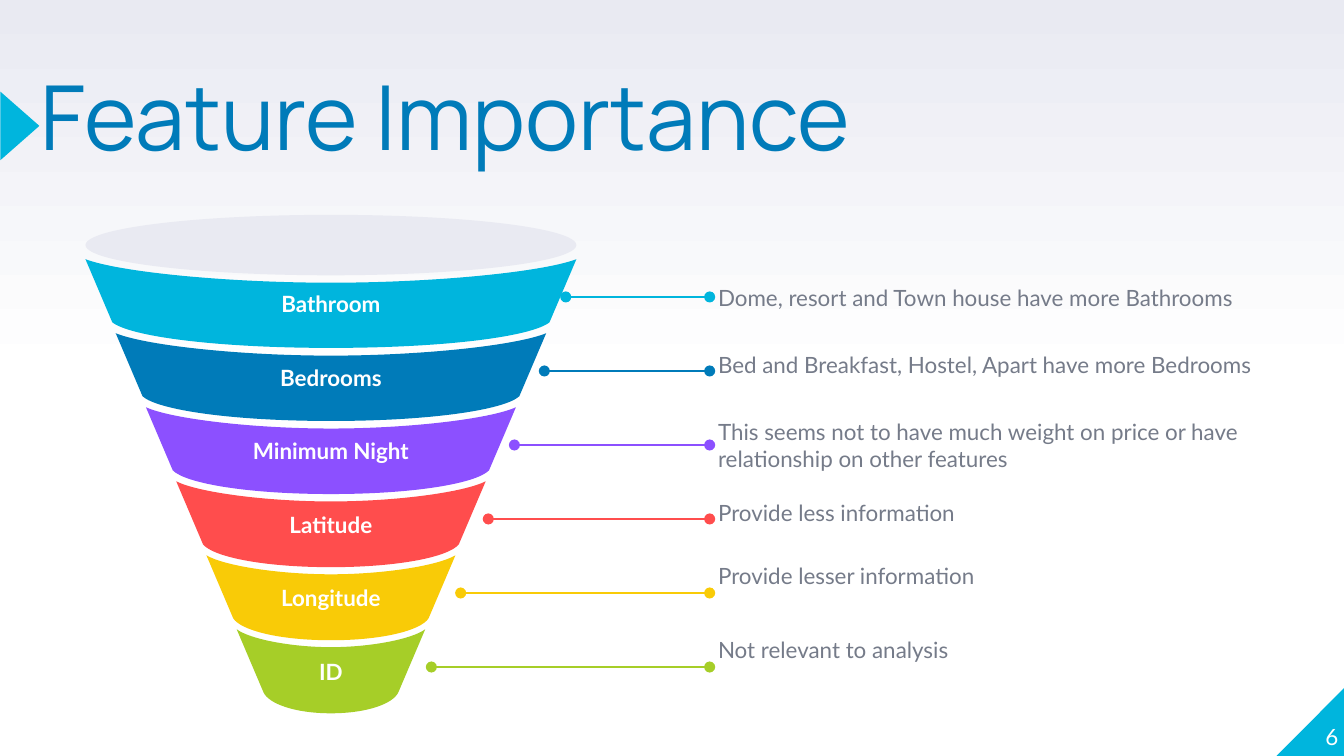
import pptx
import pptx.util
import pptx.dml.color
import pptx.enum.shapes
import pptx.enum.text
import pptx.oxml.ns
import lxml.etree

Pt = pptx.util.Pt
RGB = pptx.dml.color.RGBColor
SHAPE = pptx.enum.shapes.MSO_SHAPE
ALIGN = pptx.enum.text.PP_ALIGN
ANCHOR = pptx.enum.text.MSO_ANCHOR
qn = pptx.oxml.ns.qn

WHITE = RGB(0xFF, 0xFF, 0xFF)
LAVENDER = RGB(0xE9, 0xEA, 0xF2)
GREY = RGB(0x75, 0x7B, 0x89)
CYAN = RGB(0x00, 0xB5, 0xDD)
BLUE = RGB(0x00, 0x7B, 0xB9)
PURPLE = RGB(0x8C, 0x50, 0xFF)
RED = RGB(0xFF, 0x4D, 0x4D)
YELLOW = RGB(0xF9, 0xCB, 0x07)
GREEN = RGB(0xA6, 0xCE, 0x28)

TITLE_FONT = {"name": "Manrope", "size": Pt(48)}
BODY_FONT = {"name": "Lato", "size": Pt(12)}
SLICE_FONT = {**BODY_FONT, "bold": True}

# Name, colour, line start x, note box (top, height), note
FEATURES = [
    ("Bathroom", CYAN, 303.1, (141.8, 35.3),
     "Dome, resort and Town house have more Bathrooms"),
    ("Bedrooms", BLUE, 291.6, (177.8, 35.3),
     "Bed and Breakfast, Hostel, Apart have more Bedrooms"),
    ("Minimum Night", PURPLE, 275.6, (224.6, 28.1),
     "This seems not to have much weight on price or have "
     "relationship on other features"),
    ("Latitude", RED, 261.6, (257, 35.3), "Provide less information"),
    ("Longitude", YELLOW, 246.8, (285.1, 46.8), "Provide lesser information"),
    ("ID", GREEN, 231.1, (324.7, 46.8), "Not relevant to analysis"),
]
PITCH = 39.65


def write(frame, text, font, colour, align=ALIGN.LEFT, anchor=ANCHOR.TOP,
          margins=(0, 0), spacing=None):
    side, edge = margins
    settings = {"word_wrap": True, "vertical_anchor": anchor,
                "margin_left": Pt(side), "margin_right": Pt(side),
                "margin_top": Pt(edge), "margin_bottom": Pt(edge)}
    for name, value in settings.items():
        setattr(frame, name, value)
    para = frame.paragraphs[0]
    para.alignment = align
    para.line_spacing = spacing
    span = para.add_run()
    span.text = text
    for name, value in font.items():
        setattr(span.font, name, value)
    span.font.color.rgb = colour


def add_text(page, box, *args, **options):
    holder = page.shapes.add_textbox(*map(Pt, box))
    write(holder.text_frame, *args, **options)


def paint(shape, colour):
    shape.shadow.inherit = False
    shape.fill.solid()
    shape.fill.fore_color.rgb = colour
    shape.line.fill.background()


def add_solid(page, kind, box, colour):
    shape = page.shapes.add_shape(kind, *map(Pt, box))
    paint(shape, colour)
    return shape


def sagging_edge(middle, half, top, dip, inner, outer):
    """Ends, handles and middle, left to right, of an edge that hangs by dip.

    inner and outer place the handles as shares of half.
    """
    left = [(middle - half, top), (middle - half * outer, top + dip * 0.55),
            (middle - half * inner, top + dip), (middle, top + dip)]
    return left + [(2 * middle - x, y) for x, y in left[-2::-1]]


def bend(shape, starts):
    """Join three straight segments into one curve at each index in starts."""
    segments = list(shape._element.iter(qn("a:lnTo")))
    for start in starts:
        curve, *rest = segments[start:start + 3]
        curve.tag = qn("a:cubicBezTo")
        for segment in rest:
            curve.append(segment[0])
            segment.getparent().remove(segment)


def add_slice(page, box, dip, text, colour):
    left, top, width, height = box
    middle, half = left + width / 2, width / 2
    shoulder = 33.8
    upper = sagging_edge(middle, half, top, dip, 0.42, 0.86)
    lower = sagging_edge(middle, half - 14.4, top + shoulder,
                         height - shoulder, 0.53, 0.92)
    start, *others = [(Pt(x), Pt(y)) for x, y in upper + lower[::-1]]
    builder = page.shapes.build_freeform(*start, scale=1.0)
    builder.add_line_segments(others, close=True)
    shape = builder.convert_to_shape()
    bend(shape, (0, 3, 7, 10))
    paint(shape, colour)
    write(shape.text_frame, text, SLICE_FONT, WHITE, ALIGN.CENTER,
          ANCHOR.MIDDLE, margins=(5, 2.9))


def add_funnel(page, box):
    left, top, width, rim_height = box
    for index, (name, colour, *_) in enumerate(FEATURES):
        inset = 16.2 * index
        add_slice(page, (left + inset, top + 23.8 + PITCH * index,
                         width - 2 * inset, 47.5 - 0.5 * index),
                  12.6 - 0.6 * index, name, colour)
    add_solid(page, SHAPE.OVAL, box, LAVENDER)


def add_pointer(page, start, end, y, colour):
    line = page.shapes.add_connector(pptx.enum.shapes.MSO_CONNECTOR.STRAIGHT,
                                     Pt(start), Pt(y), Pt(end), Pt(y))
    line.line.color.rgb = colour
    line.line.width = Pt(0.75)
    outline = line.line._get_or_add_ln()
    for tag in ("a:headEnd", "a:tailEnd"):
        lxml.etree.SubElement(outline, qn(tag), type="oval")
    lxml.etree.SubElement(line._element.spPr, qn("a:effectLst"))


def add_notes(page, box):
    """Place a coloured pointer and a line of text for each feature."""
    left, top, width = box
    for index, (_, colour, start, (note_top, height), note) in enumerate(FEATURES):
        add_pointer(page, start, left - 4.5, top + PITCH * index, colour)
        add_text(page, (left, note_top, width, height), note, BODY_FONT, GREY,
                 anchor=ANCHOR.MIDDLE)


def add_background(page):
    fill = page.background.fill
    fill.gradient()
    fill.gradient_angle = 90
    for stop, position, colour in zip(fill.gradient_stops, (0.5, 1), (WHITE, LAVENDER)):
        stop.position = position
        stop.color.rgb = colour


def add_header(page, box):
    left, top, width, height = box
    marker = add_solid(page, SHAPE.ISOSCELES_TRIANGLE,
                       (left - 29.3, top + 13.1, 36.7, 20.9), CYAN)
    marker.rotation = 90
    add_text(page, box, "Feature Importance", TITLE_FONT, BLUE, spacing=0.8)


def add_page_number(page, box):
    left, top, width, height = box
    corner = add_solid(page, SHAPE.RIGHT_TRIANGLE, box, CYAN)
    corner._element.spPr.xfrm.set("flipH", "1")
    add_text(page, (left - 2.9, top - 2.9, width - 0.7, height), "6", BODY_FONT,
             WHITE, ALIGN.RIGHT, ANCHOR.BOTTOM)


def main():
    deck = pptx.Presentation()
    deck.slide_width, deck.slide_height = Pt(720), Pt(405)
    page = deck.slides.add_slide(deck.slide_layouts[6])
    add_background(page)
    add_page_number(page, (684, 368.2, 36.5, 36.7))
    add_header(page, (21.6, 43.9, 500.4, 61.9))
    add_funnel(page, (45.8, 115.1, 263, 32.4))
    add_notes(page, (384.7, 159.1, 305.3))
    deck.save("out.pptx")


if __name__ == "__main__":
    main()
